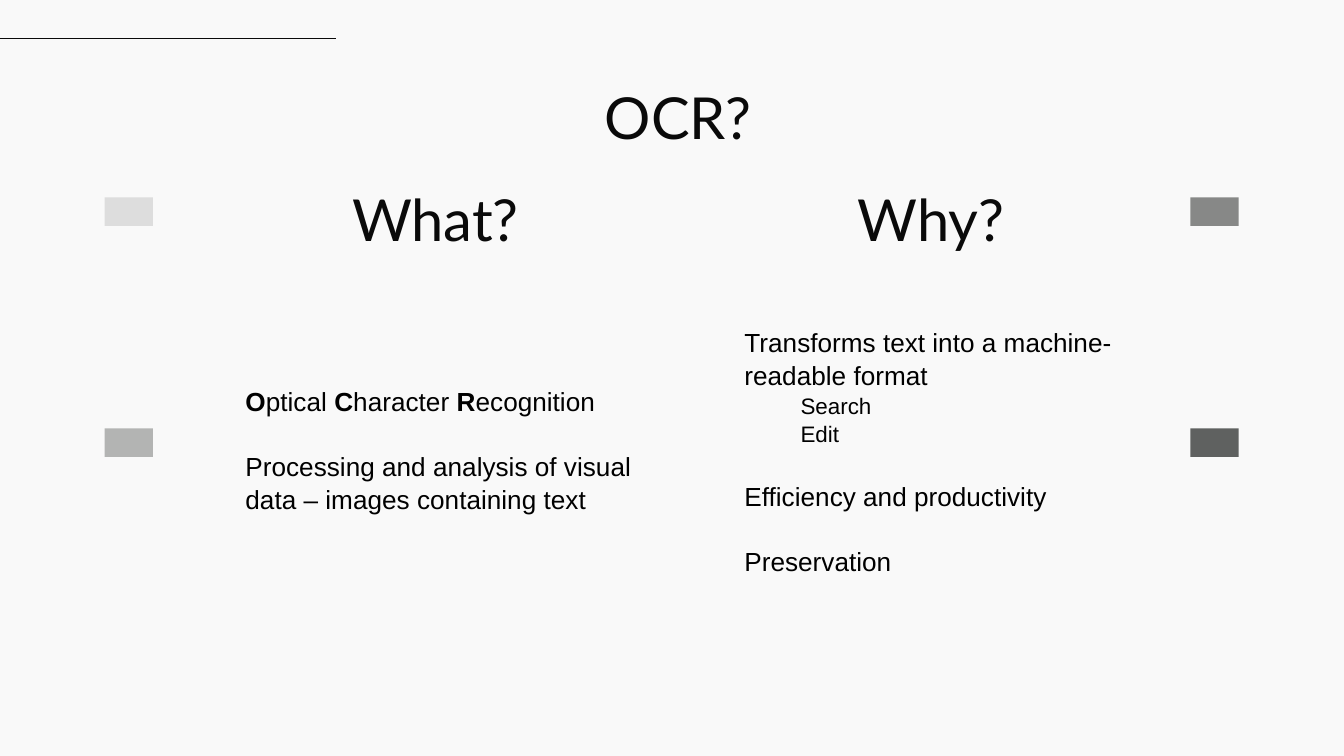
from lxml import etree
from pptx import Presentation
from pptx.dml.color import RGBColor
from pptx.enum.shapes import MSO_CONNECTOR, MSO_SHAPE
from pptx.enum.text import MSO_ANCHOR, MSO_AUTO_SIZE, PP_ALIGN
from pptx.oxml.ns import qn
from pptx.util import Cm, Pt

COLORS = {
    "background": "F9F9F9",
    "heading": "0A0A0A",
    "body": "000000",
    "pale": "DDDDDD",
    "light": "B3B4B3",
    "medium": "878887",
    "dark": "5F6160",
}


class SlideBuilder:
    heading_font = "Lato"
    body_font = "Arial"
    heading_size = 31
    body_size = 14
    detail_size = 12

    def __init__(self, deck):
        self.slide = deck.slides.add_slide(deck.slide_layouts[5])
        fill = self.slide.background.fill
        fill.solid()
        fill.fore_color.rgb = self.color("background")

    def color(self, name):
        return RGBColor.from_string(COLORS[name])

    def style(self, run, font, size, color, bold=False):
        run.font.name = font
        run.font.size = Pt(size)
        run.font.color.rgb = self.color(color)
        run.font.bold = bold

    def rule(self, left, top, width):
        rule = self.slide.shapes.add_connector(
            MSO_CONNECTOR.STRAIGHT, Cm(left), Cm(top), Cm(left + width), Cm(top))
        rule.line.color.rgb = self.color("heading")
        rule.line.width = Pt(0.75)
        etree.SubElement(rule._element.spPr, qn("a:effectLst"))

    def fill_heading(self, box, text):
        frame = box.text_frame
        frame.text = text
        frame.word_wrap = True
        frame.auto_size = MSO_AUTO_SIZE.NONE
        frame.vertical_anchor = MSO_ANCHOR.TOP
        frame.margin_left = frame.margin_right = Cm(0.25)
        frame.margin_top = frame.margin_bottom = Cm(0.25)
        paragraph = frame.paragraphs[0]
        paragraph.alignment = PP_ALIGN.CENTER
        self.style(paragraph.runs[0], self.heading_font, self.heading_size, "heading")

    def title(self, text, left, top, width, height):
        title = self.slide.shapes.title
        title.left, title.top = Cm(left), Cm(top)
        title.width, title.height = Cm(width), Cm(height)
        self.fill_heading(title, text)

    def heading(self, text, left, top, width, height):
        box = self.slide.shapes.add_textbox(Cm(left), Cm(top), Cm(width), Cm(height))
        self.fill_heading(box, text)

    def marker(self, left, top, color):
        marker = self.slide.shapes.add_shape(
            MSO_SHAPE.RECTANGLE, Cm(left), Cm(top), Cm(0.91), Cm(0.54))
        marker.shadow.inherit = False
        marker.fill.solid()
        marker.fill.fore_color.rgb = self.color(color)
        marker.line.fill.background()

    def body(self, points, left, top, width, height):
        box = self.slide.shapes.add_textbox(Cm(left), Cm(top), Cm(width), Cm(height))
        frame = box.text_frame
        frame.word_wrap = True
        for index, (pieces, is_detail) in enumerate(points):
            paragraph = frame.add_paragraph() if index else frame.paragraphs[0]
            paragraph.line_spacing = 1.05
            if is_detail:
                paragraph._p.get_or_add_pPr().set("marL", str(Cm(1.06)))
            elif index:
                paragraph.space_before = Pt(17)
            for text, bold in pieces:
                run = paragraph.add_run()
                run.text = text
                size = self.detail_size if is_detail else self.body_size
                self.style(run, self.body_font, size, "body", bold)


def point(text):
    return [(text, False)], False


def detail(text):
    return [(text, False)], True


def acronym(*words):
    pieces = []
    for position, word in enumerate(words, 1):
        rest = word[1:] + (" " if position < len(words) else "")
        pieces += [(word[0], True), (rest, False)]
    return pieces, False


def main():
    deck = Presentation()
    deck.slide_width, deck.slide_height = Cm(25.4), Cm(14.29)
    builder = SlideBuilder(deck)

    builder.rule(0, 0.73, 6.35)
    builder.title("OCR?", 2.1, 1.3, 21.44, 1.52)

    marker_columns = [(1.98, ("pale", "light")), (22.5, ("medium", "dark"))]
    for left, shades in marker_columns:
        for top, shade in zip((3.73, 8.1), shades):
            builder.marker(left, top, shade)

    for text, left in (("What?", 5.23), ("Why?", 14.6)):
        builder.heading(text, left, 3.23, 6, 1.52)

    what = [
        acronym("Optical", "Character", "Recognition"),
        point("Processing and analysis of visual data – images containing text"),
    ]
    why = [
        point("Transforms text into a machine-readable format"),
        detail("Search"),
        detail("Edit"),
        point("Efficiency and productivity"),
        point("Preservation"),
    ]
    builder.body(what, 4.39, 7.14, 7.9, 3.25)
    builder.body(why, 13.82, 6.02, 7.9, 5.05)

    deck.save("out.pptx")


if __name__ == "__main__":
    main()
